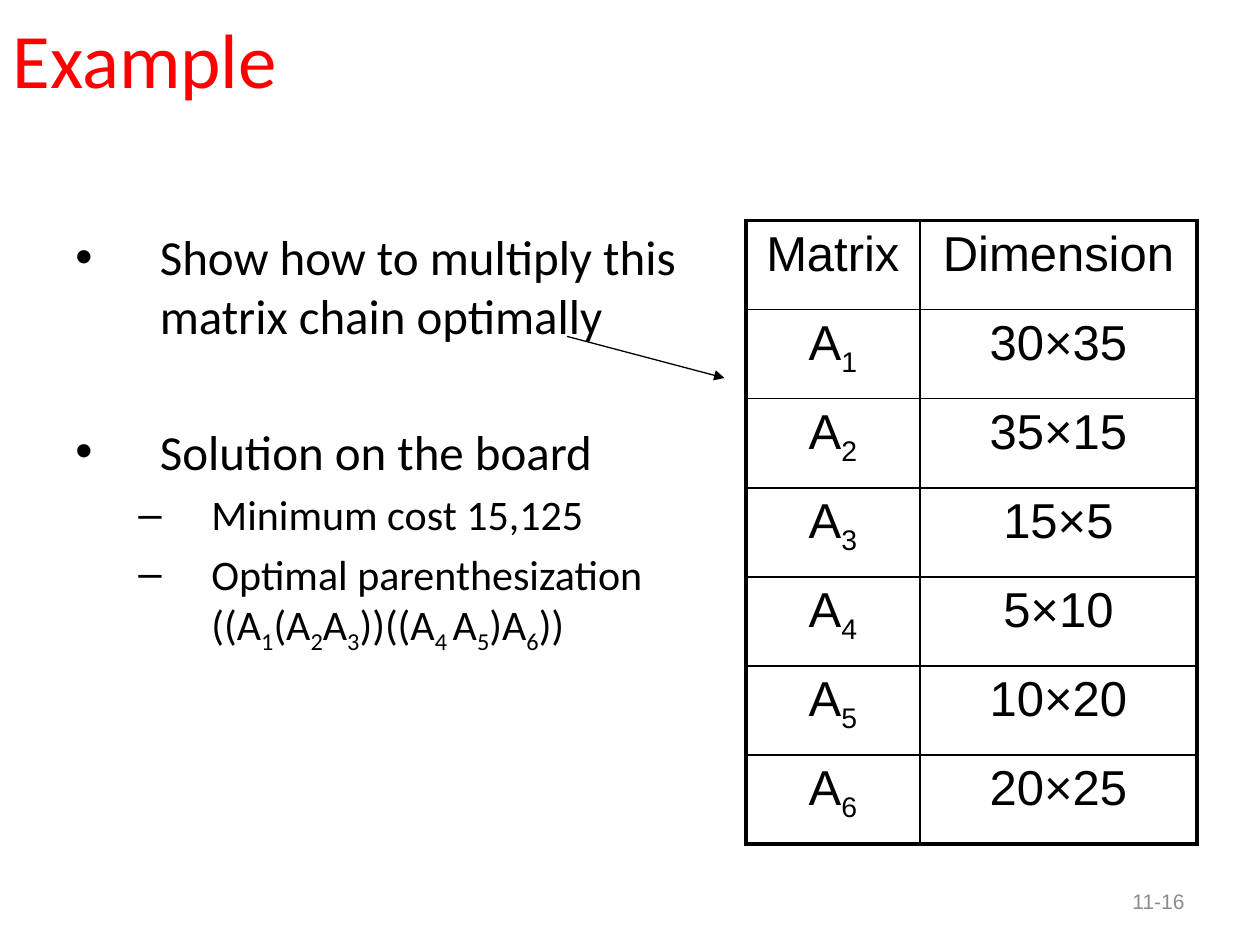
from lxml import etree
from pptx import Presentation
from pptx.dml.color import RGBColor
from pptx.enum.shapes import MSO_CONNECTOR
from pptx.enum.text import MSO_ANCHOR, PP_ALIGN
from pptx.oxml.ns import qn
from pptx.util import Inches, Pt

BLACK = RGBColor(0, 0, 0)
RED = RGBColor(0xFF, 0, 0)
GRAY = RGBColor(0x8C, 0x8C, 0x8C)

MATRIX_ROWS = [("Matrix", "Dimension")] + [
    (f"A|{number}", dimension)
    for number, dimension in enumerate(
        ["30×35", "35×15", "15×5", "5×10", "10×20", "20×25"], start=1)
]
BULLETS = [
    (0, 0, "Show how to multiply this matrix chain optimally"),
    (0, 44, "Solution on the board"),
    (1, 5, "Minimum cost 15,125"),
    (1, 5, "Optimal parenthesization ((A|1|(A|2|A|3|))((A|4 |A|5|)A|6|))"),
]
BULLET_STYLES = [("•", 28, 0.67, 0.67), ("–", 24, 1.08, 0.58)]


def add_text(paragraph, text, font, size, color):
    for index, part in enumerate(text.split("|")):
        if not part:
            continue
        run = paragraph.add_run()
        run.text = part
        run.font.name = font
        run.font.size = Pt(size)
        run.font.color.rgb = color
        if index % 2:
            run.font._element.set("baseline", "-25000")


def add_textbox(slide, left, top, width, height):
    box = slide.shapes.add_textbox(
        Inches(left), Inches(top), Inches(width), Inches(height))
    box.text_frame.word_wrap = True
    return box.text_frame


def add_title(slide, left, top, width, height):
    title = slide.shapes.title
    title.left, title.top = Inches(left), Inches(top)
    title.width, title.height = Inches(width), Inches(height)
    title.text_frame.vertical_anchor = MSO_ANCHOR.MIDDLE
    paragraph = title.text_frame.paragraphs[0]
    paragraph.alignment = PP_ALIGN.LEFT
    add_text(paragraph, "Example", "Calibri", 44, RED)


def add_bullets(slide, left, top, width, height):
    frame = add_textbox(slide, left, top, width, height)
    for index, (level, space, text) in enumerate(BULLETS):
        mark, size, margin, hanging = BULLET_STYLES[level]
        paragraph = frame.add_paragraph() if index else frame.paragraphs[0]
        paragraph.level = level
        paragraph.space_before = Pt(space)
        properties = paragraph._p.get_or_add_pPr()
        properties.set("marL", str(Inches(margin)))
        properties.set("indent", str(-Inches(hanging)))
        etree.SubElement(properties, qn("a:buFont"), typeface="Arial")
        etree.SubElement(properties, qn("a:buChar"), char=mark)
        add_text(paragraph, text, "Calibri", size, BLACK)


def set_borders(cell, widths):
    properties = cell._tc.get_or_add_tcPr()
    for index, (side, width) in enumerate(zip("LRTB", widths)):
        line = etree.Element(qn(f"a:ln{side}"), w=str(Pt(width)))
        fill = etree.SubElement(line, qn("a:solidFill"))
        etree.SubElement(fill, qn("a:srgbClr"), val=str(BLACK))
        properties.insert(index, line)


def add_matrix_table(slide, left, top, width, height):
    last = len(MATRIX_ROWS) - 1
    table = slide.shapes.add_table(
        len(MATRIX_ROWS), 2, Inches(left), Inches(top),
        Inches(width), Inches(height)).table
    table.first_row = table.horz_banding = False
    table.columns[0].width = Inches(1.38)
    table.columns[1].width = Inches(width - 1.38)
    for row, values in enumerate(MATRIX_ROWS):
        for column, text in enumerate(values):
            cell = table.cell(row, column)
            cell.fill.background()
            edges = (column == 0, column == 1, row == 0, row == last)
            set_borders(cell, [2.25 if edge else 1 for edge in edges])
            paragraph = cell.text_frame.paragraphs[0]
            paragraph.alignment = PP_ALIGN.CENTER
            add_text(paragraph, text, "Arial", 28, BLACK)


def add_arrow(slide, start_x, start_y, end_x, end_y):
    arrow = slide.shapes.add_connector(
        MSO_CONNECTOR.STRAIGHT, Inches(start_x), Inches(start_y),
        Inches(end_x), Inches(end_y))
    arrow.line.color.rgb = BLACK
    arrow.line.width = Pt(0.75)
    etree.SubElement(arrow.line._get_or_add_ln(), qn("a:tailEnd"), type="triangle")
    etree.SubElement(arrow._element.spPr, qn("a:effectLst"))


def add_page_number(slide, left, top, width, height):
    frame = add_textbox(slide, left, top, width, height)
    frame.vertical_anchor = MSO_ANCHOR.MIDDLE
    frame.paragraphs[0].alignment = PP_ALIGN.RIGHT
    add_text(frame.paragraphs[0], "11-16", "Arial", 12, GRAY)


def build():
    deck = Presentation()
    deck.slide_width, deck.slide_height = Inches(10), Inches(7.5)
    slide = deck.slides.add_slide(deck.slide_layouts[5])
    add_page_number(slide, 7.17, 6.95, 2.33, 0.4)
    add_title(slide, 0, -0.17, 9, 1.25)
    add_bullets(slide, 0.5, 1.75, 5.17, 4.95)
    add_matrix_table(slide, 5.92, 1.75, 3.58, 4.95)
    add_arrow(slide, 4.5, 2.67, 5.75, 3)
    deck.save("out.pptx")


build()
